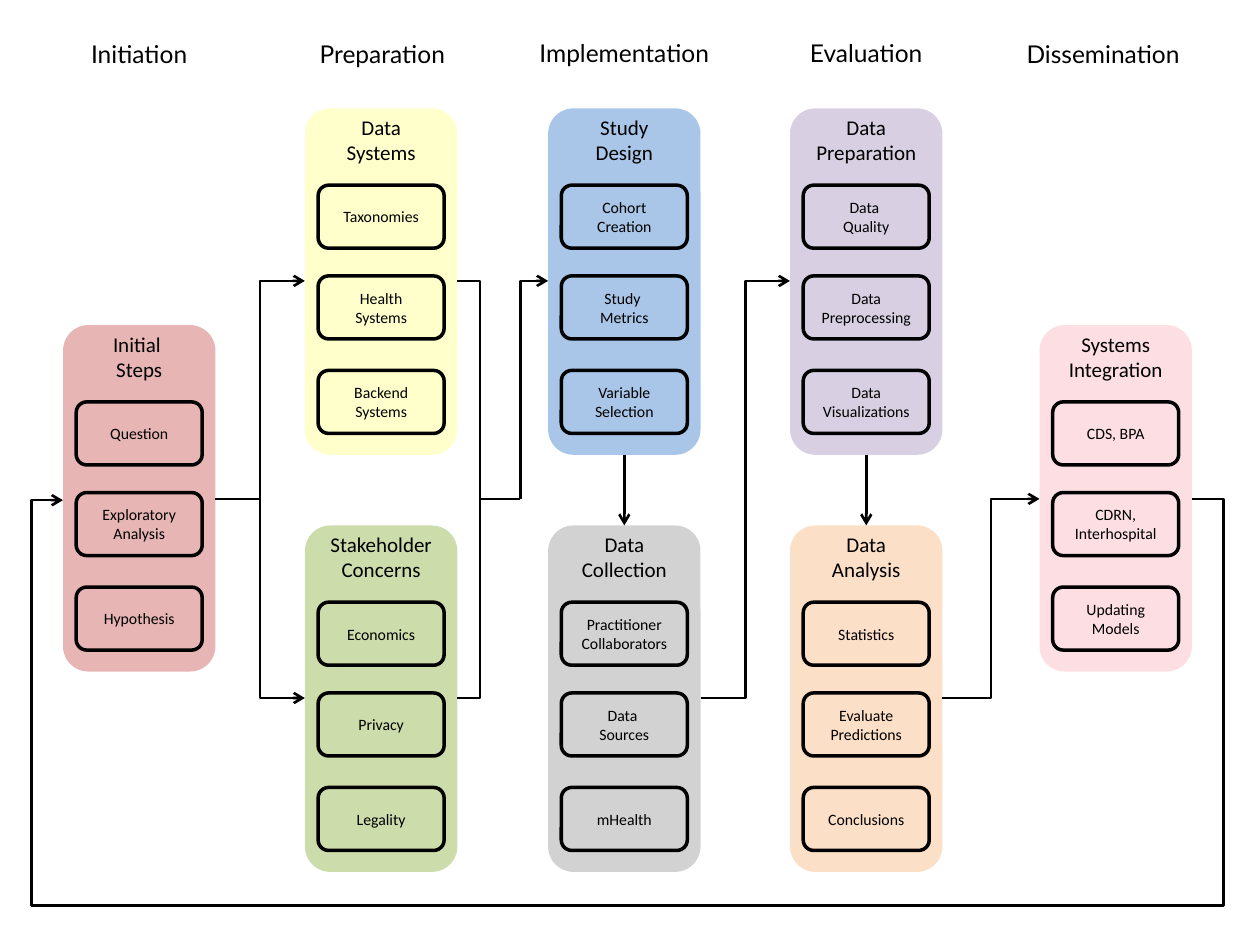
from dataclasses import dataclass

from lxml.etree import SubElement
from pptx import Presentation
from pptx.dml.color import RGBColor
from pptx.enum.shapes import MSO_CONNECTOR as Link, MSO_SHAPE as Shape
from pptx.enum.text import MSO_ANCHOR as Anchor, MSO_AUTO_SIZE as AutoSize, PP_ALIGN as Align
from pptx.oxml.ns import qn
from pptx.util import Inches, Pt


@dataclass(frozen=True)
class Theme:
    ink: str = "000000"
    rose: str = "D26C6C"
    yellow: str = "FFFF9B"
    green: str = "9BBB59"
    blue: str = "558ED5"
    gray: str = "A6A6A6"
    purple: str = "B3A2C7"
    orange: str = "FAC090"
    pink: str = "FCC0C9"
    phase_font: str = "Lato"
    body_font: str = "Calibri"
    phase_size: int = 14
    title_size: int = 12
    step_size: int = 9
    step_line: float = 2
    arrow_line: float = 1.5


THEME = Theme()

# Grid: five columns, and cards in an upper, middle or lower position
COLUMNS = (0.5, 2.42, 4.35, 6.27, 8.25)
UPPER, MIDDLE, LOWER = 0.86, 2.58, 4.17
CARD_W, CARD_H = 1.21, 2.75
STEP_W, STEP_H = 1, 0.5
STEP_OFFSETS = (0.61, 1.33, 2.08)
NARROW = 0.91

PHASES = [  # name, left, top
    ("Initiation", 0.27, 0.26),
    ("Preparation", 2.2, 0.26),
    ("Implementation", 4.12, 0.25),
    ("Evaluation", 6.04, 0.25),
    ("Dissemination", 7.92, 0.26),
]

# Column, top, colour, title, title width, steps; \v is a line break
CARDS = [
    (0, MIDDLE, THEME.rose, "Initial \vSteps", NARROW,
     ("Question", "Exploratory\vAnalysis", "Hypothesis")),
    (1, UPPER, THEME.yellow, "Data Systems", NARROW,
     ("Taxonomies", "Health Systems", "Backend Systems")),
    (1, LOWER, THEME.green, "Stakeholder Concerns", CARD_W,
     ("Economics", "Privacy", "Legality")),
    (2, UPPER, THEME.blue, "Study Design", NARROW,
     ("Cohort Creation", "Study \vMetrics", "Variable Selection")),
    (2, LOWER, THEME.gray, "Data Collection", NARROW,
     ("Practitioner Collaborators", "Data \vSources", "mHealth")),
    (3, UPPER, THEME.purple, "Data Preparation", CARD_W,
     ("Data \vQuality", "Data Preprocessing", "Data Visualizations")),
    (3, LOWER, THEME.orange, "Data Analysis", NARROW,
     ("Statistics", "Evaluate Predictions", "Conclusions")),
    (4, MIDDLE, THEME.pink, "Systems Integration", STEP_W,
     ("CDS, BPA", "CDRN, Interhospital", "Updating Models")),
]


def write(box, text, font, size):
    frame = box.text_frame
    frame.word_wrap = True
    frame.text = text
    for para in frame.paragraphs:
        para.alignment = Align.CENTER
        for span in para.runs:
            span.font.name = font
            span.font.size = Pt(size)
            span.font.color.rgb = RGBColor.from_string(THEME.ink)


def add_label(page, text, left, top, width, height, font, size):
    box = page.shapes.add_textbox(Inches(left), Inches(top), Inches(width), Inches(height))
    write(box, text, font, size)
    box.text_frame.auto_size = AutoSize.SHAPE_TO_FIT_TEXT


def add_rounded(page, left, top, width, height):
    box = page.shapes.add_shape(Shape.ROUNDED_RECTANGLE, Inches(left), Inches(top),
                                Inches(width), Inches(height))
    box.shadow.inherit = False
    return box


def add_step(page, text, left, top):
    box = add_rounded(page, left, top, STEP_W, STEP_H)
    box.fill.background()
    box.line.color.rgb = RGBColor.from_string(THEME.ink)
    box.line.width = Pt(THEME.step_line)
    write(box, text, THEME.body_font, THEME.step_size)
    box.text_frame.vertical_anchor = Anchor.MIDDLE


def add_card(page, column, top, color, title, title_width, steps):
    left = COLUMNS[column]
    card = add_rounded(page, left, top, CARD_W, CARD_H)
    card.fill.solid()
    card.fill.fore_color.rgb = RGBColor.from_string(color)
    # Half transparent fill
    SubElement(card.fill._xPr.find(".//" + qn("a:srgbClr")), qn("a:alpha"), val="50000")
    card.line.fill.background()
    add_label(page, title, left + (CARD_W - title_width) / 2, top, title_width, 0.5,
              THEME.body_font, THEME.title_size)
    for step, offset in zip(steps, STEP_OFFSETS):
        add_step(page, step, left + (CARD_W - STEP_W) / 2, top + offset)


def add_link(page, start, end, kind=Link.ELBOW, arrow=True, preset=None, bends=()):
    """Connect two points; bends are the turning positions as shares of the span."""
    link = page.shapes.add_connector(kind, *(Inches(value) for value in (*start, *end)))
    link.line.color.rgb = RGBColor.from_string(THEME.ink)
    link.line.width = Pt(THEME.arrow_line)
    properties = link._element.spPr
    if arrow:
        SubElement(link.line._get_or_add_ln(), qn("a:tailEnd"), type="arrow")
    SubElement(properties, qn("a:effectLst"))
    geometry = properties.find(qn("a:prstGeom"))
    if preset:
        geometry.set("prst", preset)
    for number, bend in enumerate(bends, 1):
        name = f"adj{number}"
        SubElement(geometry.find(qn("a:avLst")), qn("a:gd"), name=name,
                   fmla=f"val {round(bend * 100000)}")


def add_links(page):
    high, middle, low = 2.23, 3.96, 5.54
    merge, split = 3.81, 4.13
    lefts = COLUMNS
    rights = [left + CARD_W for left in COLUMNS]

    # Initial steps branch to both preparation cards
    for level in (high, low):
        add_link(page, (rights[0], middle), (lefts[1], level))
    # Preparation cards merge and lead to study design
    for level in (high, low):
        add_link(page, (rights[1], level), (merge, middle), arrow=False, bends=(1,))
    add_link(page, (split, middle), (merge, middle), Link.STRAIGHT, arrow=False)
    add_link(page, (split, middle), (lefts[2], high), bends=(0,))
    # Down within a column, then on to the next one
    for column in (2, 3):
        center = lefts[column] + CARD_W / 2
        add_link(page, (center, UPPER + CARD_H), (center, LOWER), Link.STRAIGHT)
    add_link(page, (rights[2], low), (lefts[3], high))
    add_link(page, (rights[3], low), (lefts[4], middle))
    # Feedback loop below all cards
    margin, floor, entry = 0.25, 7.24, 3.97
    share = margin / (rights[4] - lefts[0])
    depth = (floor - middle) / (entry - middle)
    add_link(page, (rights[4], middle), (lefts[0], entry),
             preset="bentConnector5", bends=(-share, depth, 1 + share))


def main():
    deck = Presentation()
    deck.slide_width, deck.slide_height = Inches(10), Inches(7.5)
    page = deck.slides.add_slide(deck.slide_layouts[6])
    for name, left, top in PHASES:
        add_label(page, name, left, top, 1.67, 0.34, THEME.phase_font, THEME.phase_size)
    for card in CARDS:
        add_card(page, *card)
    add_links(page)
    deck.save("out.pptx")


if __name__ == "__main__":
    main()
